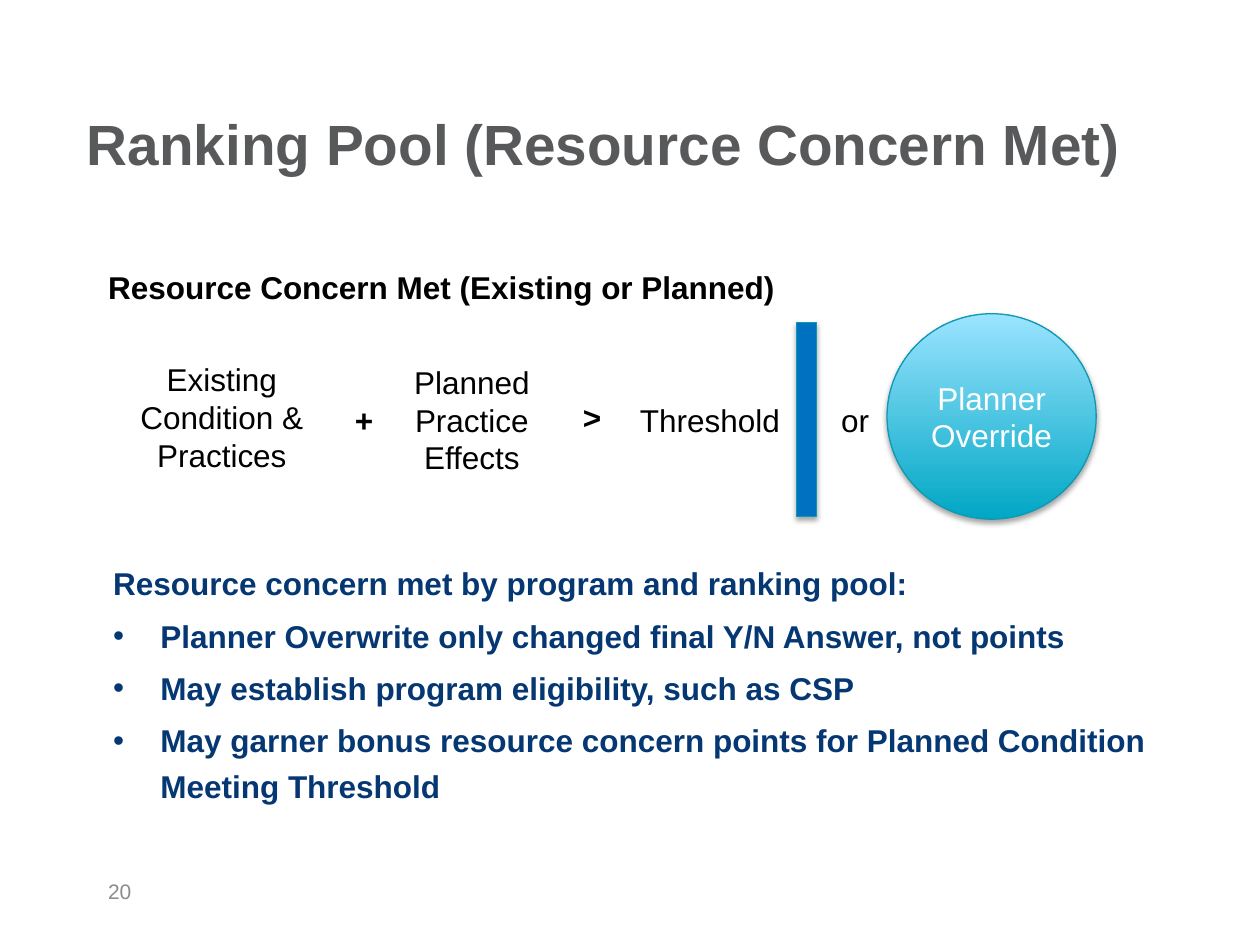
"""Build the ranking pool slide on resource concerns met."""
from lxml import etree
from pptx import Presentation
from pptx.dml.color import RGBColor
from pptx.enum.shapes import MSO_SHAPE
from pptx.enum.text import MSO_ANCHOR, PP_ALIGN
from pptx.oxml import parse_xml
from pptx.oxml.ns import nsdecls, qn
from pptx.util import Pt

RECT, OVAL = MSO_SHAPE.RECTANGLE, MSO_SHAPE.OVAL
LEFT, MID = PP_ALIGN.LEFT, PP_ALIGN.CENTER
TOP, CENTER = MSO_ANCHOR.TOP, MSO_ANCHOR.MIDDLE

THEME = {
    "font": "Arial",
    "title": (32.4, "58595B"),
    "text": (18, "000000"),
    "note": (18, "053773"),
    "light": (18, "FFFFFF"),
    "page": (12, "8C8C8C"),
    "bar": "0070C0",
    "edge": "0F99B2",
    "deep": "00A7C5",
    "pale": "9BE4FF",
}
SHADOW = (
    f'<a:effectLst {nsdecls("a")}>'
    '<a:outerShdw blurRad="39370" dist="22860" dir="5400000" rotWithShape="0">'
    '<a:srgbClr val="000000"><a:alpha val="35000"/></a:srgbClr>'
    '</a:outerShdw></a:effectLst>'
)


def write(frame, text, style, bold=False, align=MID, anchor=TOP):
    frame.word_wrap = True
    frame.vertical_anchor = anchor
    para = frame.paragraphs[0]
    if para.runs:
        para = frame.add_paragraph()
    para.alignment = align
    run = para.add_run()
    run.text = text
    size, color = THEME[style]
    run.font.name = THEME["font"]
    run.font.size = Pt(size)
    run.font.bold = bold
    run.font.color.rgb = RGBColor.from_string(color)
    return para


def draw(kind, *box):
    shape = slide.shapes.add_shape(kind, *map(Pt, box))
    shape.shadow.inherit = False
    shape.line.color.rgb = RGBColor.from_string(THEME["edge"])
    shape.line.width = Pt(0.75)
    props = shape._element.spPr
    props.replace(props.find(qn("a:effectLst")), parse_xml(SHADOW))
    return shape


deck = Presentation()
deck.slide_width, deck.slide_height = Pt(720), Pt(540)
slide = deck.slides.add_slide(deck.slide_layouts[5])

bar = draw(RECT, 455, 184.3, 11.5, 110.9)
bar.fill.solid()
bar.fill.fore_color.rgb = RGBColor.from_string(THEME["bar"])

title = slide.shapes.title
title.left, title.top, title.width, title.height = map(Pt, (20.9, 44.6, 648, 74.2))
write(title.text_frame, "Ranking Pool (Resource Concern Met)", "title", True, anchor=CENTER)

LABELS = [
    ("20", "page", False, LEFT, CENTER, (54.7, 494.6, 167.8, 28.8)),
    ("Resource Concern Met (Existing or Planned)", "text", True, LEFT, TOP,
     (54.7, 149.8, 420, 28.8)),
    ("Existing Condition & Practices", "text", False, MID, TOP, (67, 202.3, 119.5, 72.7)),
    ("+", "text", True, MID, TOP, (190, 225.4, 36, 28.8)),
    ("Planned Practice Effects", "text", False, MID, TOP, (215.3, 203.8, 108.7, 72.7)),
    (">", "text", True, MID, TOP, (320.3, 223.7, 36, 28.8)),
    ("Threshold", "text", False, MID, TOP, (350.7, 225.4, 110, 28.8)),
    ("or", "text", False, MID, TOP, (468.6, 225.4, 40, 28.8)),
]
for text, style, bold, align, anchor, box in LABELS:
    label = slide.shapes.add_textbox(*map(Pt, box))
    write(label.text_frame, text, style, bold, align, anchor)

disc = draw(OVAL, 506.9, 179.3, 119.5, 117.4)
disc.fill.gradient()
disc.fill.gradient_angle = 90
for stop, name in zip(disc.fill.gradient_stops, ("deep", "pale")):
    stop.color.rgb = RGBColor.from_string(THEME[name])
for stop, place in zip(disc.fill.gradient_stops, (0, 1)):
    stop.position = place
write(disc.text_frame, "Planner Override", "light", anchor=CENTER)

notes = slide.shapes.add_textbox(*map(Pt, (57.6, 319, 609.1, 154.8))).text_frame
write(notes, "Resource concern met by program and ranking pool:", "note", True, LEFT)
POINTS = [
    "Planner Overwrite only changed final Y/N Answer, not points",
    "May establish program eligibility, such as CSP",
    "May garner bonus resource concern points for Planned Condition Meeting Threshold",
]
for point in POINTS:
    para = write(notes, point, "note", True, LEFT)
    para.line_spacing = 1.2
    para.space_before = Pt(4)
    props = para._p.get_or_add_pPr()
    props.set("marL", str(Pt(27)))
    props.set("indent", str(-Pt(27)))
    etree.SubElement(props, qn("a:buFont")).set("typeface", THEME["font"])
    etree.SubElement(props, qn("a:buChar")).set("char", "•")

deck.save("out.pptx")
